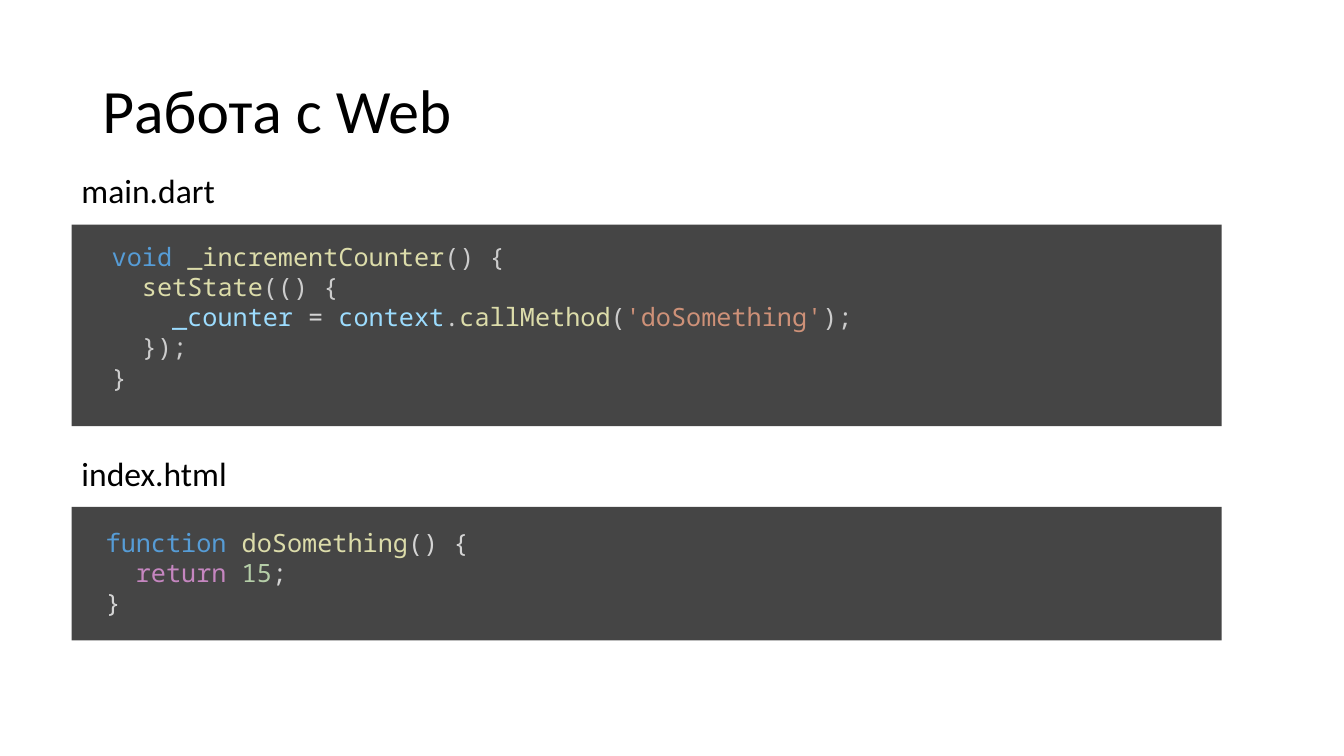
from dataclasses import dataclass

from pptx import Presentation
from pptx.dml.color import RGBColor
from pptx.enum.shapes import MSO_SHAPE as Shape
from pptx.enum.text import MSO_ANCHOR as Anchor, MSO_AUTO_SIZE as AutoSize, PP_ALIGN as Align
from pptx.util import Pt


@dataclass(frozen=True)
class Theme:
    text: str = "000000"
    panel: str = "454545"
    plain: str = "CCCCCC"
    light: str = "D4D4D4"
    keyword: str = "569CD6"
    control: str = "C586C0"
    function: str = "DCDCAA"
    variable: str = "9CDCFE"
    string: str = "CE9178"
    number: str = "B5CEA8"
    body_font: str = "Calibri"
    code_font: str = "Noto Sans Mono"
    title_size: int = 44
    label_size: int = 24
    code_size: int = 18
    code_indent: float = 21.6


THEME = Theme()
PANEL_LEFT, PANEL_WIDTH = 51.1, 821.5

# Each code line is an indent level followed by coloured tokens.
DART_CODE = [
    (1, [("void ", THEME.keyword), ("_incrementCounter", THEME.function), ("() {", THEME.plain)]),
    (2, [("setState", THEME.function), ("(() {", THEME.plain)]),
    (3, [("_counter ", THEME.variable), ("= ", THEME.light), ("context", THEME.variable),
         (".", THEME.plain), ("callMethod", THEME.function), ("(", THEME.plain),
         ("'doSomething'", THEME.string), (");", THEME.plain)]),
    (2, [("});", THEME.plain)]),
    (1, [("}", THEME.plain)]),
]
HTML_CODE = [
    (2, [("function ", THEME.keyword), ("doSomething", THEME.function), ("() {", THEME.light)]),
    (3, [("return ", THEME.control), ("15", THEME.number), (";", THEME.light)]),
    (2, [("}", THEME.light)]),
]


def style_font(font, name, size, color=None):
    font.name = name
    font.size = Pt(size)
    if color:
        font.color.rgb = RGBColor.from_string(color)


def set_title(slide, text):
    title = slide.shapes.title
    title.left, title.top, title.width, title.height = Pt(66), Pt(28.8), Pt(828), Pt(104.4)
    frame = title.text_frame
    frame.text = text
    frame.auto_size = AutoSize.NONE
    frame.vertical_anchor = Anchor.MIDDLE
    heading = frame.paragraphs[0]
    heading.alignment = Align.LEFT
    heading.line_spacing = 0.9
    style_font(heading.font, THEME.body_font, THEME.title_size, THEME.text)


def add_panel(slide, top, height):
    panel = slide.shapes.add_shape(
        Shape.RECTANGLE, Pt(PANEL_LEFT), Pt(top), Pt(PANEL_WIDTH), Pt(height))
    panel.shadow.inherit = False
    panel.fill.solid()
    panel.fill.fore_color.rgb = RGBColor.from_string(THEME.panel)
    panel.line.fill.background()


def add_file_label(slide, name, top, width):
    label = slide.shapes.add_textbox(Pt(PANEL_LEFT), Pt(top), Pt(width), Pt(36))
    frame = label.text_frame
    frame.word_wrap = False
    frame.auto_size = AutoSize.SHAPE_TO_FIT_TEXT
    frame.text = name
    style_font(frame.paragraphs[0].font, THEME.body_font, THEME.label_size, THEME.text)


def add_code(slide, lines, left, top, width, height):
    listing = slide.shapes.add_textbox(Pt(left), Pt(top), Pt(width), Pt(height))
    frame = listing.text_frame
    frame.word_wrap = True
    frame.auto_size = AutoSize.SHAPE_TO_FIT_TEXT
    for number, (level, tokens) in enumerate(lines):
        line = frame.add_paragraph() if number else frame.paragraphs[0]
        style_font(line.font, THEME.code_font, THEME.code_size)
        properties = line._p.get_or_add_pPr()
        properties.set("marL", str(Pt(level * THEME.code_indent)))
        properties.set("indent", "0")
        for text, color in tokens:
            token = line.add_run()
            token.text = text
            token.font.color.rgb = RGBColor.from_string(color)


def main():
    deck = Presentation()
    deck.slide_width, deck.slide_height = Pt(960), Pt(540)
    slide = deck.slides.add_slide(deck.slide_layouts.get_by_name("Title Only"))

    set_title(slide, "Работа с Web")

    add_file_label(slide, "main.dart", top=118.1, width=110.9)
    add_panel(slide, top=160.4, height=144)
    add_code(slide, DART_CODE, left=PANEL_LEFT, top=168.5, width=580.3, height=116.6)

    add_file_label(slide, "index.html", top=319.7, width=119.5)
    add_panel(slide, top=362, height=95.5)
    add_code(slide, HTML_CODE, left=25.2, top=373, width=480.2, height=72.7)

    deck.save("out.pptx")


if __name__ == "__main__":
    main()
